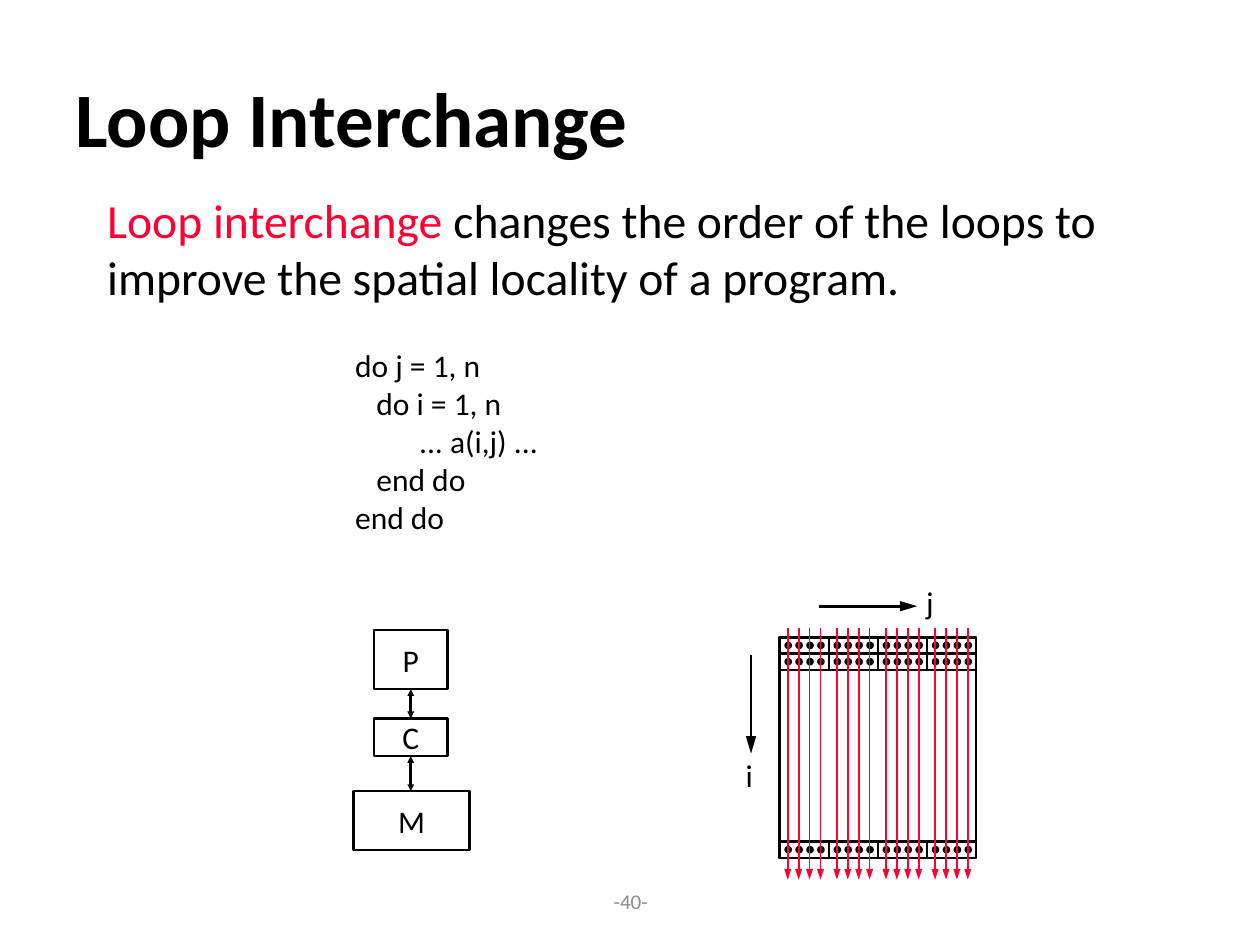
from dataclasses import dataclass
from itertools import product

from lxml import etree
from pptx import Presentation
from pptx import util as u
from pptx.dml.color import RGBColor
from pptx.enum import shapes, text
from pptx.oxml.ns import qn

COLORS = {"ink": "000000", "paper": "FFFFFF", "accent": "FF0033", "muted": "8C8C8C"}
FONT = "Calibri"
LEFT, CENTER = text.PP_ALIGN.LEFT, text.PP_ALIGN.CENTER
TOP, MIDDLE = text.MSO_ANCHOR.TOP, text.MSO_ANCHOR.MIDDLE
RECT, OVAL = shapes.MSO_SHAPE.RECTANGLE, shapes.MSO_SHAPE.OVAL


# Lengths in the records are centimetres, text sizes are points
@dataclass
class Label:
    words: str
    left: float
    top: float
    width: float
    height: float


@dataclass
class Arrow:
    x1: float
    y1: float
    x2: float
    y2: float
    color: str = "ink"
    weight: float = 1.5
    head_width: str = "med"
    head_length: str = "lg"
    both_ends: bool = False


def color(name: str) -> RGBColor:
    return RGBColor.from_string(COLORS[name])


def format_frame(frame, wrap: bool, anchor) -> None:
    settings = {"word_wrap": wrap, "vertical_anchor": anchor,
                "auto_size": text.MSO_AUTO_SIZE.NONE}
    for name, value in settings.items():
        setattr(frame, name, value)


def add_words(paragraph, words: str, size: float, tint: str = "ink",
              bold: bool = False, align=LEFT) -> None:
    paragraph.alignment = align
    run = paragraph.add_run()
    run.text = words
    for name, value in {"name": FONT, "size": u.Pt(size), "bold": bold}.items():
        setattr(run.font, name, value)
    run.font.color.rgb = color(tint)


def add_text(slide, left: float, top: float, width: float, height: float,
             wrap: bool = False, anchor=TOP):
    frame = slide.shapes.add_textbox(*map(u.Cm, (left, top, width, height))).text_frame
    format_frame(frame, wrap, anchor)
    return frame


def add_figure(slide, kind, left: float, top: float, width: float, height: float,
               fill: str = "paper"):
    figure = slide.shapes.add_shape(kind, *map(u.Cm, (left, top, width, height)))
    figure.shadow.inherit = False
    figure.fill.solid()
    figure.fill.fore_color.rgb = color(fill)
    figure.line.color.rgb = color("ink")
    figure.line.width = u.Pt(1.5)
    return figure


def add_arrow(slide, arrow: Arrow) -> None:
    ends = map(u.Cm, (arrow.x1, arrow.y1, arrow.x2, arrow.y2))
    line = slide.shapes.add_connector(shapes.MSO_CONNECTOR.STRAIGHT, *ends)
    line.line.color.rgb = color(arrow.color)
    line.line.width = u.Pt(arrow.weight)
    outline = line.line._get_or_add_ln()
    for tag in ("a:headEnd", "a:tailEnd") if arrow.both_ends else ("a:tailEnd",):
        etree.SubElement(outline, qn(tag), type="triangle",
                         w=arrow.head_width, len=arrow.head_length)
    etree.SubElement(line._element.spPr, qn("a:effectLst"))


deck = Presentation()
deck.slide_width, deck.slide_height = u.Cm(25.4), u.Cm(19.05)
slide = deck.slides.add_slide(deck.slide_layouts[5])

# Title
title = slide.shapes.title
for name, value in {"left": 1.27, "top": 0.76, "width": 22.86, "height": 3.18}.items():
    setattr(title, name, u.Cm(value))
format_frame(title.text_frame, True, MIDDLE)
add_words(title.text_frame.paragraphs[0], "Loop Interchange", 44, bold=True)

# Definition
definition = add_text(slide, 1.91, 3.73, 21.59, 2.11, wrap=True).paragraphs[0]
definition.space_before = u.Pt(2)
add_words(definition, "Loop interchange", 27.2, "accent")
add_words(definition, " changes the order of the loops to improve the spatial "
                      "locality of a program.", 27.2)

# Loop nest, indented by depth
LOOP_NEST = [("do j = 1, n", 0), ("do i = 1, n", 0.43), ("... a(i,j) ...", 1.29),
             ("end do", 0.43), ("end do", 0)]
loop_frame = add_text(slide, 6.91, 6.86, 4.95, 4.06)
for row, (statement, indent) in enumerate(LOOP_NEST):
    paragraph = loop_frame.add_paragraph() if row else loop_frame.paragraphs[0]
    add_words(paragraph, statement, 18)
    paragraph._p.get_or_add_pPr().set("marL", str(u.Cm(indent)))

# Processor, cache and memory
HIERARCHY = [Label("P", 7.54, 12.7, 1.48, 1.19), Label("C", 7.54, 14.48, 1.48, 0.76),
             Label("M", 7.13, 15.95, 2.34, 1.19)]
for level in HIERARCHY:
    box = add_figure(slide, RECT, level.left, level.top, level.width, level.height)
    format_frame(box.text_frame, False, MIDDLE)
    add_words(box.text_frame.paragraphs[0], level.words, 18, align=CENTER)
for upper, lower in zip(HIERARCHY, HIERARCHY[1:]):
    add_arrow(slide, Arrow(8.28, lower.top, 8.28, upper.top + upper.height,
                           head_width="sm", head_length="sm", both_ends=True))

# Array of cache blocks with four elements each
ARRAY_LEFT, ARRAY_TOP = 15.72, 12.85
BLOCK_WIDTH, BLOCK_HEIGHT = 0.99, 0.33
ELEMENT_GAP, DOT = 0.22, 0.1
BLOCKS = ELEMENTS = 4
add_figure(slide, RECT, ARRAY_LEFT, ARRAY_TOP, BLOCKS * BLOCK_WIDTH, 4.45)
for row_top, block in product((ARRAY_TOP, ARRAY_TOP + BLOCK_HEIGHT, 16.97), range(BLOCKS)):
    block_left = ARRAY_LEFT + block * BLOCK_WIDTH
    add_figure(slide, RECT, block_left, row_top, BLOCK_WIDTH, BLOCK_HEIGHT)
    for element in range(ELEMENTS):
        add_figure(slide, OVAL, block_left + 0.12 + element * ELEMENT_GAP,
                   row_top + 0.11, DOT, DOT, "ink")

# Column-wise access order
for block, element in product(range(BLOCKS), range(ELEMENTS)):
    column = ARRAY_LEFT + 0.16 + block * BLOCK_WIDTH + element * ELEMENT_GAP
    add_arrow(slide, Arrow(column, 12.65, column, 17.73, "accent", 1, "sm", "med"))

# Index axes
for axis in (Arrow(15.14, 13.21, 15.14, 15.19), Arrow(16.51, 12.22, 18.49, 12.22)):
    add_arrow(slide, axis)
for index in (Label("i", 14.78, 15.11, 0.69, 1.02), Label("j", 18.42, 11.63, 0.76, 1.02)):
    frame = add_text(slide, index.left, index.top, index.width, index.height)
    add_words(frame.paragraphs[0], index.words, 18)

# Page number
page = add_text(slide, 8.69, 17.65, 8.05, 1.02, wrap=True, anchor=MIDDLE)
add_words(page.paragraphs[0], "-40-", 12, "muted", align=CENTER)

deck.save("out.pptx")
